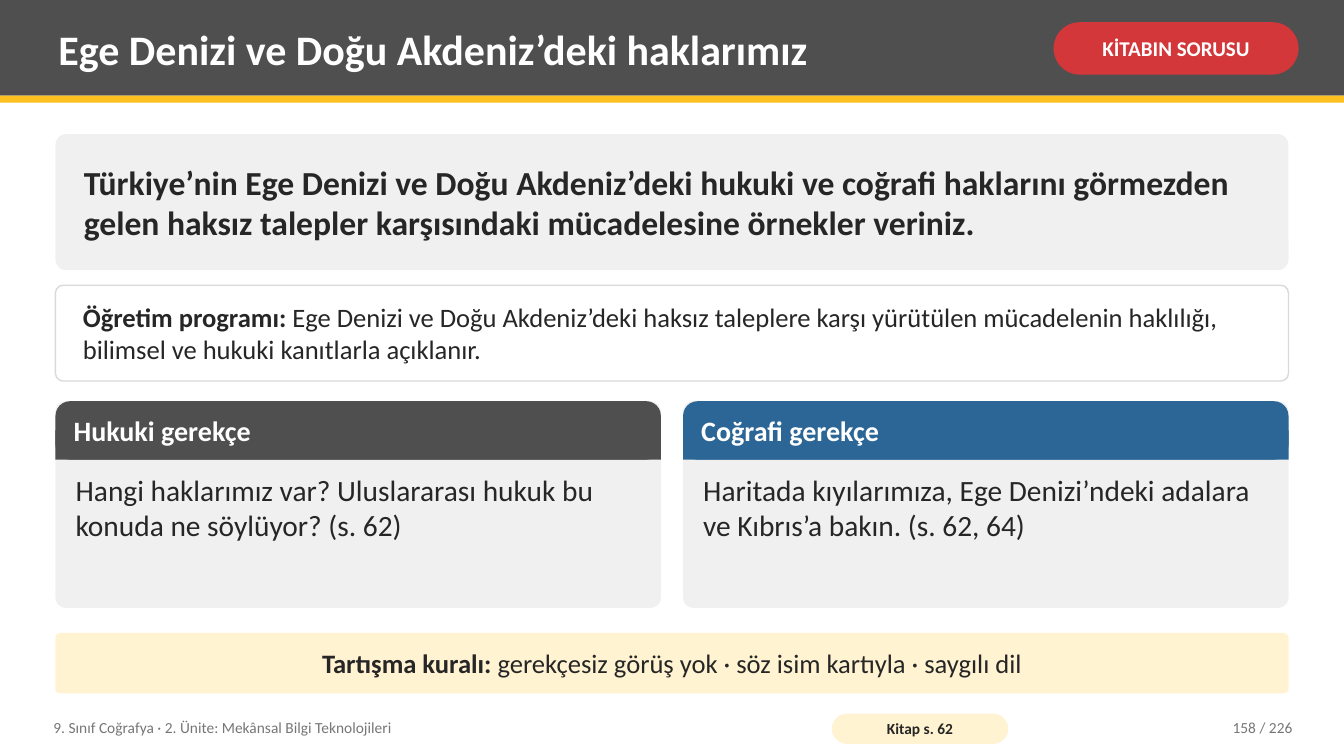
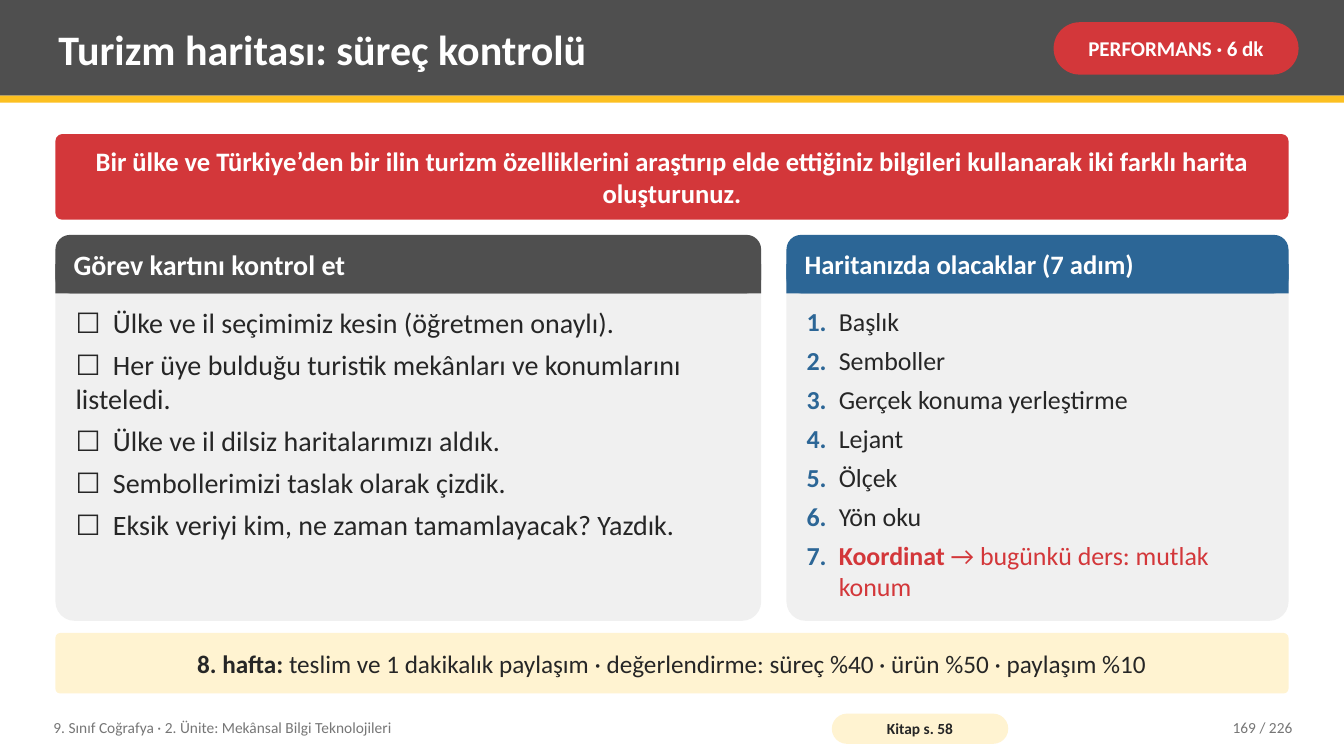
from dataclasses import dataclass

from lxml import etree
from pptx import Presentation
from pptx.dml.color import RGBColor
from pptx.enum import shapes, text
from pptx.oxml import ns
from pptx.util import Inches, Pt

FONT = "Calibri"
CHARCOAL = RGBColor(0x4F, 0x4F, 0x4F)
AMBER = RGBColor(0xFC, 0xC0, 0x21)
CREAM = RGBColor(0xFF, 0xF3, 0xD1)
RED = RGBColor(0xD3, 0x37, 0x3A)
BLUE = RGBColor(0x2C, 0x66, 0x96)
PALE = RGBColor(0xF0, 0xF0, 0xF0)
BORDER = RGBColor(0xD9, 0xD9, 0xD9)
INK = RGBColor(0x26, 0x26, 0x26)
MUTED = RGBColor(0x76, 0x76, 0x76)
WHITE = RGBColor(0xFF, 0xFF, 0xFF)

LEFT, CONTENT_WIDTH, SLIDE_WIDTH = 0.55, 12.23, 13.33
HEADER_HEIGHT = 0.58
FOOTER = "9. Sınıf Coğrafya · 2. Ünite: Mekânsal Bilgi Teknolojileri"
PAGE_TOTAL = 226

RECT = shapes.MSO_SHAPE.RECTANGLE
ROUND = shapes.MSO_SHAPE.ROUNDED_RECTANGLE
LEFT_ALIGN, CENTER, RIGHT = text.PP_ALIGN.LEFT, text.PP_ALIGN.CENTER, text.PP_ALIGN.RIGHT
MIDDLE, TOP = text.MSO_ANCHOR.MIDDLE, text.MSO_ANCHOR.TOP


@dataclass
class Span:
    text: str
    bold: bool = False
    color: RGBColor = INK


@dataclass
class Style:
    size: float
    align: int = LEFT_ALIGN
    anchor: int = MIDDLE
    inset_x: float = 0.08
    inset_y: float = 0.04
    space_after: float = 0
    hanging: float = 0
    tab: float = 0


@dataclass
class Panel:
    heading: str
    color: RGBColor
    width: float
    heading_size: float
    paras: list[list[Span]]
    style: Style


def card_style(size: float, align: int = LEFT_ALIGN) -> Style:
    return Style(size, align, inset_x=0.25, inset_y=0.08)


def write(frame, paras: list[list[Span]], style: Style) -> None:
    frame.word_wrap = True
    frame.auto_size = text.MSO_AUTO_SIZE.NONE
    frame.vertical_anchor = style.anchor
    frame.margin_left = frame.margin_right = Inches(style.inset_x)
    frame.margin_top = frame.margin_bottom = Inches(style.inset_y)
    for index, spans in enumerate(paras):
        para = frame.paragraphs[0] if index == 0 else frame.add_paragraph()
        set_indent(para, style)
        para.alignment = style.align
        if style.space_after and index < len(paras) - 1:
            para.space_after = Pt(style.space_after)
        for span in spans:
            run = para.add_run()
            run.text = span.text
            run.font.name = FONT
            run.font.size = Pt(style.size)
            run.font.bold = span.bold
            run.font.color.rgb = span.color


def set_indent(para, style: Style) -> None:
    """Give the paragraph a hanging indent or a tab stop, if the style has one."""
    properties = para._p.get_or_add_pPr()
    if style.hanging:
        properties.set("marL", str(Inches(style.hanging)))
        properties.set("indent", str(-Inches(style.hanging)))
    if style.tab:
        tabs = etree.SubElement(properties, ns.qn("a:tabLst"))
        etree.SubElement(tabs, ns.qn("a:tab"), pos=str(Inches(style.tab)), algn="l")


def add_block(page, left: float, top: float, width: float, height: float,
              fill: RGBColor, radius: float = 0, border: RGBColor | None = None):
    """Add a filled rectangle, rounded when a radius is given."""
    block = page.shapes.add_shape(ROUND if radius else RECT, Inches(left), Inches(top),
                                  Inches(width), Inches(height))
    block.shadow.inherit = False
    block.fill.solid()
    block.fill.fore_color.rgb = fill
    if radius:
        block.adjustments[0] = radius
    if border is None:
        block.line.fill.background()
    else:
        block.line.color.rgb = border
        block.line.width = Pt(1)
    return block


def add_text(page, left: float, top: float, width: float, height: float,
             paras: list[list[Span]], style: Style) -> None:
    box = page.shapes.add_textbox(Inches(left), Inches(top), Inches(width), Inches(height))
    write(box.text_frame, paras, style)


def add_card(page, top: float, height: float, spans: list[Span], style: Style,
             fill: RGBColor, border: RGBColor | None = None) -> None:
    """Add a rounded text card across the full content width."""
    card = add_block(page, LEFT, top, CONTENT_WIDTH, height, fill, 0.08, border)
    write(card.text_frame, [spans], style)


def add_panels(page, top: float, height: float, gap: float, panels: list[Panel]) -> None:
    left = LEFT
    half = HEADER_HEIGHT / 2
    for panel in panels:
        add_block(page, left, top, panel.width, height, PALE, 0.05)
        add_block(page, left, top, panel.width, HEADER_HEIGHT, panel.color, 0.25)
        add_block(page, left, top + half, panel.width, half, panel.color)
        add_text(page, left + 0.1, top, panel.width - 0.2, HEADER_HEIGHT,
                 [[Span(panel.heading, True, WHITE)]], Style(panel.heading_size))
        add_text(page, left + 0.12, top + HEADER_HEIGHT + 0.08, panel.width - 0.24,
                 height - HEADER_HEIGHT - 0.16, panel.paras, panel.style)
        left += panel.width + gap


def add_page(deck, title: str, badge: str, book_page: int, number: int):
    """Add a slide with its title band, badge and footer."""
    page = deck.slides.add_slide(deck.slide_layouts[5])
    add_block(page, 0, 0, SLIDE_WIDTH, 0.95, CHARCOAL)
    stripe = add_block(page, 0, 0.95, SLIDE_WIDTH, 0.07, AMBER)
    heading = page.shapes.title
    stripe.element.addnext(heading.element)
    heading.left, heading.top = Inches(0.5), Inches(0.07)
    heading.width, heading.height = Inches(9.75), Inches(0.82)
    write(heading.text_frame, [[Span(title, True, WHITE)]], Style(30))

    pill = add_block(page, 10.45, 0.22, 2.43, 0.52, RED, 0.5)
    write(pill.text_frame, [[Span(badge, True, WHITE)]],
          Style(15, CENTER, inset_x=0.05, inset_y=0.02))

    add_text(page, 0.45, 7.04, 7.6, 0.36, [[Span(FOOTER, color=MUTED)]], Style(11))
    book = add_block(page, 8.25, 7.08, 1.75, 0.3, CREAM, 0.5)
    write(book.text_frame, [[Span(f"Kitap s. {book_page}", True)]],
          Style(11, CENTER, inset_x=0.04, inset_y=0))
    add_text(page, 11.3, 7.04, 1.6, 0.36,
             [[Span(f"{number} / {PAGE_TOTAL}", color=MUTED)]], Style(11, RIGHT))
    return page


def add_note(page, lead: str, rest: str, size: float) -> None:
    add_card(page, 6.28, 0.6, [Span(lead, True), Span(rest)], card_style(size, CENTER), CREAM)


def build_rights_page(deck) -> None:
    page = add_page(deck, "Ege Denizi ve Doğu Akdeniz’deki haklarımız", "KİTABIN SORUSU", 62, 158)
    question = ("Türkiye’nin Ege Denizi ve Doğu Akdeniz’deki hukuki ve coğrafi haklarını görmezden "
                "gelen haksız talepler karşısındaki mücadelesine örnekler veriniz.")
    add_card(page, 1.33, 1.35, [Span(question, True)], card_style(24), PALE)
    curriculum = [
        Span("Öğretim programı:", True),
        Span(" Ege Denizi ve Doğu Akdeniz’deki haksız taleplere karşı yürütülen mücadelenin "
             "haklılığı, bilimsel ve hukuki kanıtlarla açıklanır."),
    ]
    add_card(page, 2.83, 0.95, curriculum, card_style(19), WHITE, BORDER)

    gap = 0.22
    width = (CONTENT_WIDTH - gap) / 2
    body = Style(21, anchor=TOP)
    legal = "Hangi haklarımız var? Uluslararası hukuk bu konuda ne söylüyor? (s. 62)"
    geographic = "Haritada kıyılarımıza, Ege Denizi’ndeki adalara ve Kıbrıs’a bakın. (s. 62, 64)"
    add_panels(page, 3.98, 2.05, gap, [
        Panel("Hukuki gerekçe", CHARCOAL, width, 20, [[Span(legal)]], body),
        Panel("Coğrafi gerekçe", BLUE, width, 20, [[Span(geographic)]], body),
    ])
    add_note(page, "Tartışma kuralı:", " gerekçesiz görüş yok · söz isim kartıyla · saygılı dil", 19)


def build_tourism_page(deck) -> None:
    page = add_page(deck, "Turizm haritası: süreç kontrolü", "PERFORMANS · 6 dk", 58, 169)
    task = ("Bir ülke ve Türkiye’den bir ilin turizm özelliklerini araştırıp elde ettiğiniz "
            "bilgileri kullanarak iki farklı harita oluşturunuz.")
    add_card(page, 1.33, 0.85, [Span(task, True, WHITE)], card_style(19, CENTER), RED)

    checks = [
        "Ülke ve il seçimimiz kesin (öğretmen onaylı).",
        "Her üye bulduğu turistik mekânları ve konumlarını listeledi.",
        "Ülke ve il dilsiz haritalarımızı aldık.",
        "Sembollerimizi taslak olarak çizdik.",
        "Eksik veriyi kim, ne zaman tamamlayacak? Yazdık.",
    ]
    steps = [[Span(name)] for name in (
        "Başlık", "Semboller", "Gerçek konuma yerleştirme", "Lejant", "Ölçek", "Yön oku")]
    steps.append([Span("Koordinat", True, RED), Span(" → bugünkü ders: mutlak konum", color=RED)])
    numbered = [[Span(f"{number}.\t", True, BLUE), *spans]
                for number, spans in enumerate(steps, start=1)]

    gap, check_width = 0.25, 7
    add_panels(page, 2.33, 3.83, gap, [
        Panel("Görev kartını kontrol et", CHARCOAL, check_width, 20,
              [[Span(f"☐\t{check}")] for check in checks],
              Style(20, anchor=TOP, space_after=6, tab=0.37)),
        Panel("Haritanızda olacaklar (7 adım)", BLUE, CONTENT_WIDTH - check_width - gap, 19,
              numbered, Style(18.5, anchor=TOP, space_after=5.6, hanging=0.32)),
    ])
    add_note(page, "8. hafta:", " teslim ve 1 dakikalık paylaşım · değerlendirme: süreç %40 "
             "· ürün %50 · paylaşım %10", 18)


def main() -> None:
    deck = Presentation()
    deck.slide_width, deck.slide_height = Inches(SLIDE_WIDTH), Inches(7.5)
    build_rights_page(deck)
    build_tourism_page(deck)
    deck.save("out.pptx")


if __name__ == "__main__":
    main()
